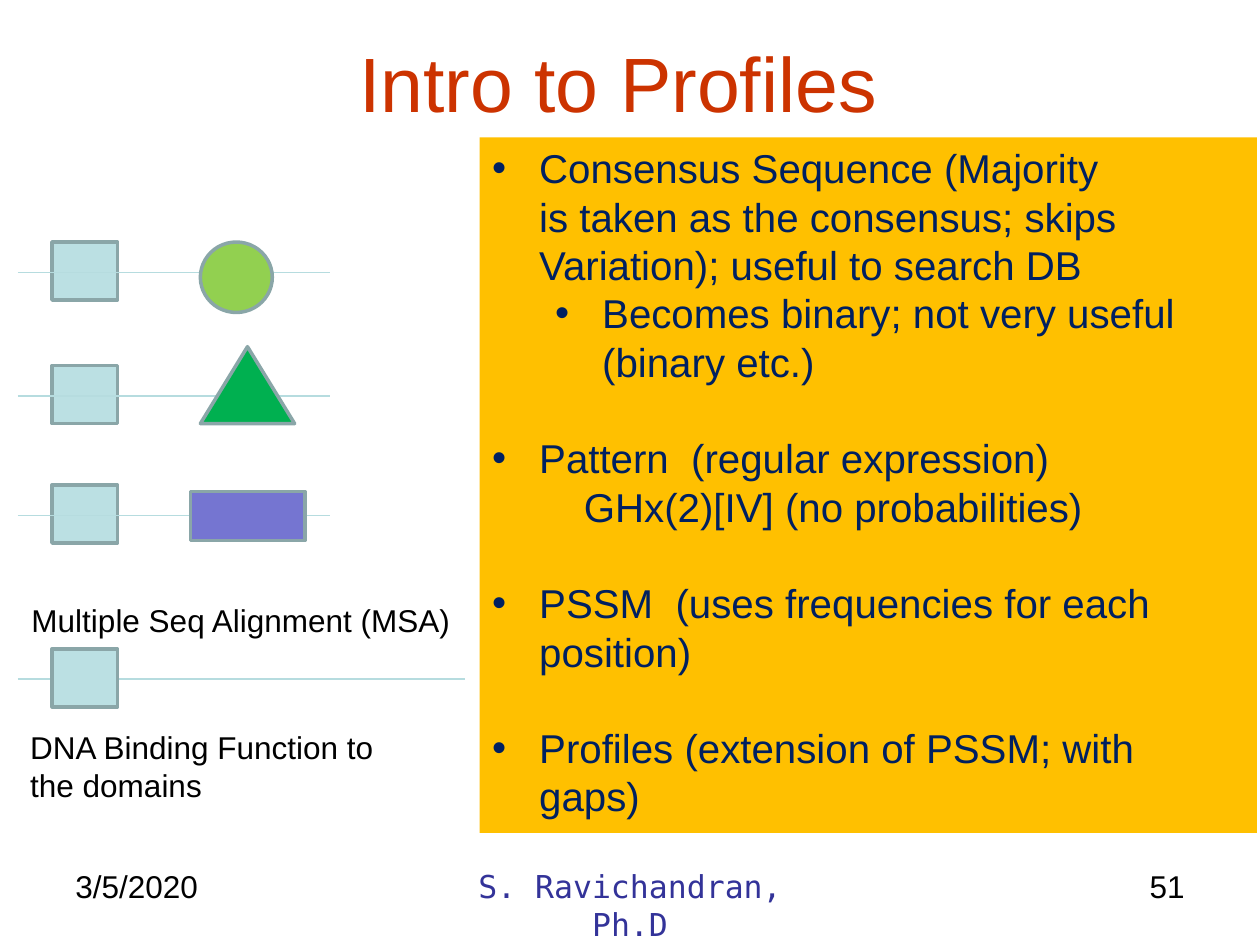
import pptx
import pptx.dml.color
import pptx.enum.shapes
import pptx.enum.text
import pptx.oxml.ns
import pptx.util
from lxml import etree

Cm = pptx.util.Cm
Pt = pptx.util.Pt
RGBColor = pptx.dml.color.RGBColor
Shape = pptx.enum.shapes.MSO_SHAPE
Align = pptx.enum.text.PP_ALIGN
Anchor = pptx.enum.text.MSO_ANCHOR
qn = pptx.oxml.ns.qn

RED = RGBColor(0xCC, 0x33, 0x00)
BLACK = RGBColor(0, 0, 0)
INDIGO = RGBColor(0x33, 0x33, 0x99)
NAVY = RGBColor(0x00, 0x20, 0x60)
AMBER = RGBColor(0xFF, 0xC0, 0x00)
AQUA = RGBColor(0xBB, 0xE0, 0xE3)
THREAD = RGBColor(0xB6, 0xDC, 0xDF)
OUTLINE = RGBColor(0x8A, 0xA6, 0xA8)
LIME = RGBColor(0x92, 0xD0, 0x50)
GREEN = RGBColor(0x00, 0xB0, 0x50)
VIOLET = RGBColor(0x75, 0x75, 0xD1)

LINE_HEIGHT = 27.6  # points, list panel

# Text, level, bulleted, left margin in cm, blank space above in lines
POINTS = [
    ("Consensus Sequence (Majority \vis taken as the consensus; skips Variation); "
     "useful to search DB", 0, True, 0.95, 0),
    ("Becomes binary; not very useful (binary etc.)", 1, True, 2.22, 0),
    ("Pattern  (regular expression)", 0, True, 0.95, 1),
    ("GHx(2)[IV] (no probabilities)", 0, False, 1.85, 0),
    ("PSSM  (uses frequencies for each position)", 0, True, 0.95, 1),
    ("Profiles (extension of PSSM; with gaps)", 0, True, 0.95, 1),
]


def style(para, size, color, font="Arial", align=Align.LEFT):
    para.alignment = align
    para.font.size = Pt(size)
    para.font.name = font
    para.font.color.rgb = color


def add_text(page, box, text, size=18, color=BLACK, font="Arial",
             align=Align.LEFT, anchor=Anchor.TOP):
    frame = page.shapes.add_textbox(*map(Cm, box)).text_frame
    frame.word_wrap = True
    frame.vertical_anchor = anchor
    frame.text = text
    style(frame.paragraphs[0], size, color, font, align)


def add_domain(page, kind, box, fill):
    domain = page.shapes.add_shape(kind, *map(Cm, box))
    domain.shadow.inherit = False
    domain.fill.solid()
    domain.fill.fore_color.rgb = fill
    domain.line.color.rgb = OUTLINE
    domain.line.width = Pt(2)


def add_strand(page, left, y, width):
    strand = page.shapes.add_connector(
        pptx.enum.shapes.MSO_CONNECTOR.STRAIGHT,
        Cm(left), Cm(y), Cm(left + width), Cm(y))
    strand.line.color.rgb = THREAD
    strand.line.width = Pt(0.75)
    etree.SubElement(strand._element.spPr, qn("a:effectLst"))


def add_sequence(page, left, top, width, strand_in_front=True):
    """A strand with the shared square domain near its left end."""
    def square():
        add_domain(page, Shape.RECTANGLE, (left + 0.69, top, 1.32, 1.17), AQUA)

    def strand():
        add_strand(page, left, top + 0.61, width)

    parts = [square, strand] if strand_in_front else [strand, square]
    for part in parts:
        part()


def add_alignment(page, left, top):
    """Aligned sequences, the domain they share, and captions."""
    for offset in (0, 2.49, 4.9):
        add_sequence(page, left, top + offset, 6.3)
    # Domains that differ between the sequences
    for kind, x, y, width, height, fill in (
            (Shape.OVAL, 3.68, 0, 1.45, 1.42, LIME),
            (Shape.ISOSCELES_TRIANGLE, 3.68, 2.11, 1.9, 1.55, GREEN),
            (Shape.RECTANGLE, 3.48, 5.03, 2.31, 0.99, VIOLET)):
        add_domain(page, kind, (left + x, top + y, width, height), fill)
    add_text(page, (left - 0.15, top + 7.11, 9.45, 1.02),
             " Multiple Seq Alignment (MSA)")
    add_sequence(page, left, top + 8.2, 9.02, strand_in_front=False)
    add_text(page, (left, top + 9.67, 7.85, 1.8),
             "DNA Binding Function to the domains")


def add_bullet(para):
    properties = para._p.get_or_add_pPr()
    etree.SubElement(properties, qn("a:buFont"), typeface="Arial")
    etree.SubElement(properties, qn("a:buChar"), char="•")


def add_panel(page, box):
    """Filled panel with the bulleted list."""
    panel = page.shapes.add_shape(Shape.RECTANGLE, *map(Cm, box))
    panel.shadow.inherit = False
    panel.fill.solid()
    panel.fill.fore_color.rgb = AMBER
    panel.line.fill.background()
    frame = panel.text_frame
    frame.word_wrap = True
    frame.vertical_anchor = Anchor.TOP
    for index, (text, level, bulleted, margin, gap) in enumerate(POINTS):
        para = frame.add_paragraph() if index else frame.paragraphs[0]
        para.text = text
        para.level = level
        style(para, 23, NAVY)
        para.line_spacing = Pt(LINE_HEIGHT)
        para.space_before = Pt(gap * LINE_HEIGHT)
        properties = para._p.get_or_add_pPr()
        properties.set("marL", str(Cm(margin)))
        properties.set("indent", str(Cm(-0.95 if bulleted else 0)))
        if bulleted:
            add_bullet(para)


def add_footer(page, left, top, width):
    """Date, author and page number."""
    height = 1.32
    add_text(page, (left, top, 5.92, height), "3/5/2020")
    add_text(page, (left + (width - 8.05) / 2, top, 8.05, height),
             "S. Ravichandran, Ph.D", color=INDIGO,
             font="DejaVu Sans Mono", align=Align.CENTER)
    add_text(page, (left + width - 5.92, top, 5.92, height), "51",
             align=Align.RIGHT)


def main():
    deck = pptx.Presentation()
    deck.slide_width, deck.slide_height = Cm(25.4), Cm(19.05)
    page = deck.slides.add_slide(deck.slide_layouts[6])
    add_text(page, (1.04, 0.05, 22.86, 3.18), "Intro to Profiles", 44, RED,
             align=Align.CENTER, anchor=Anchor.MIDDLE)
    add_footer(page, 1.27, 17.35, 22.86)
    add_alignment(page, 0.36, 4.88)
    add_panel(page, (9.67, 2.77, 15.67, 14.02))
    deck.save("out.pptx")


if __name__ == "__main__":
    main()
